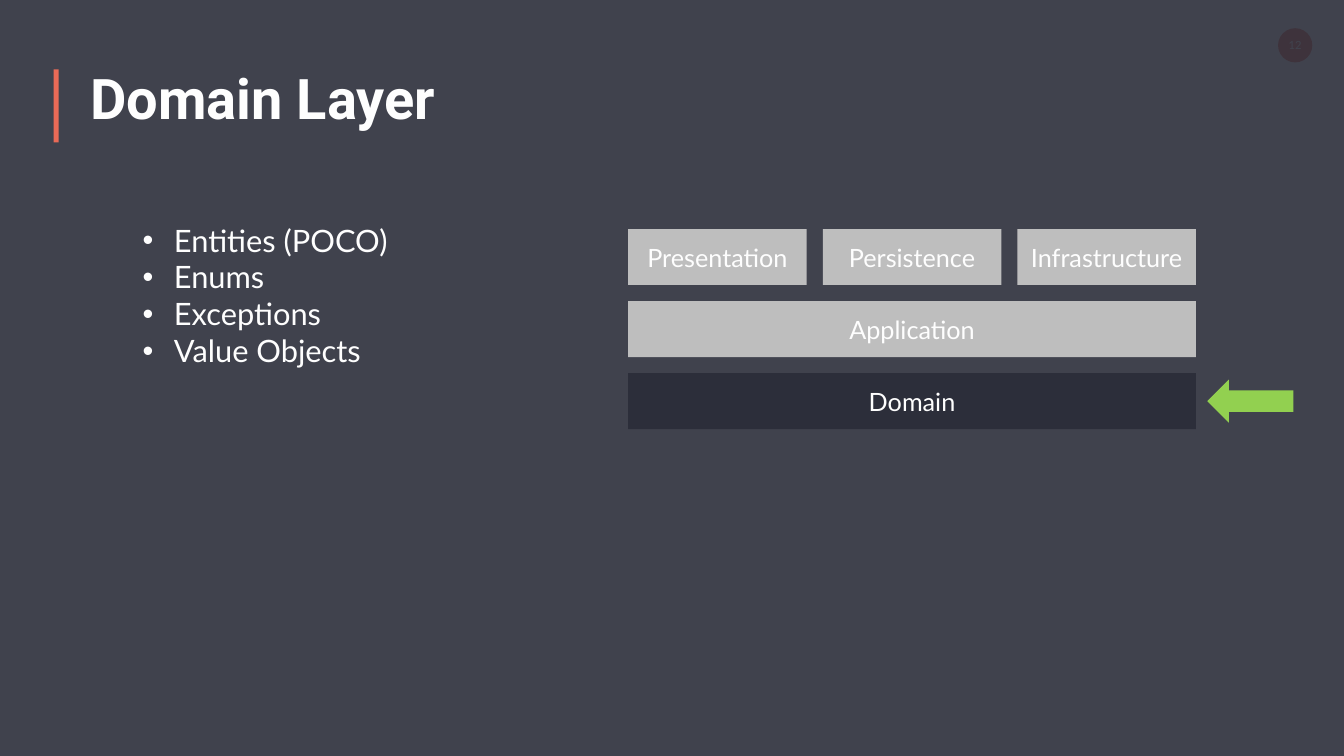
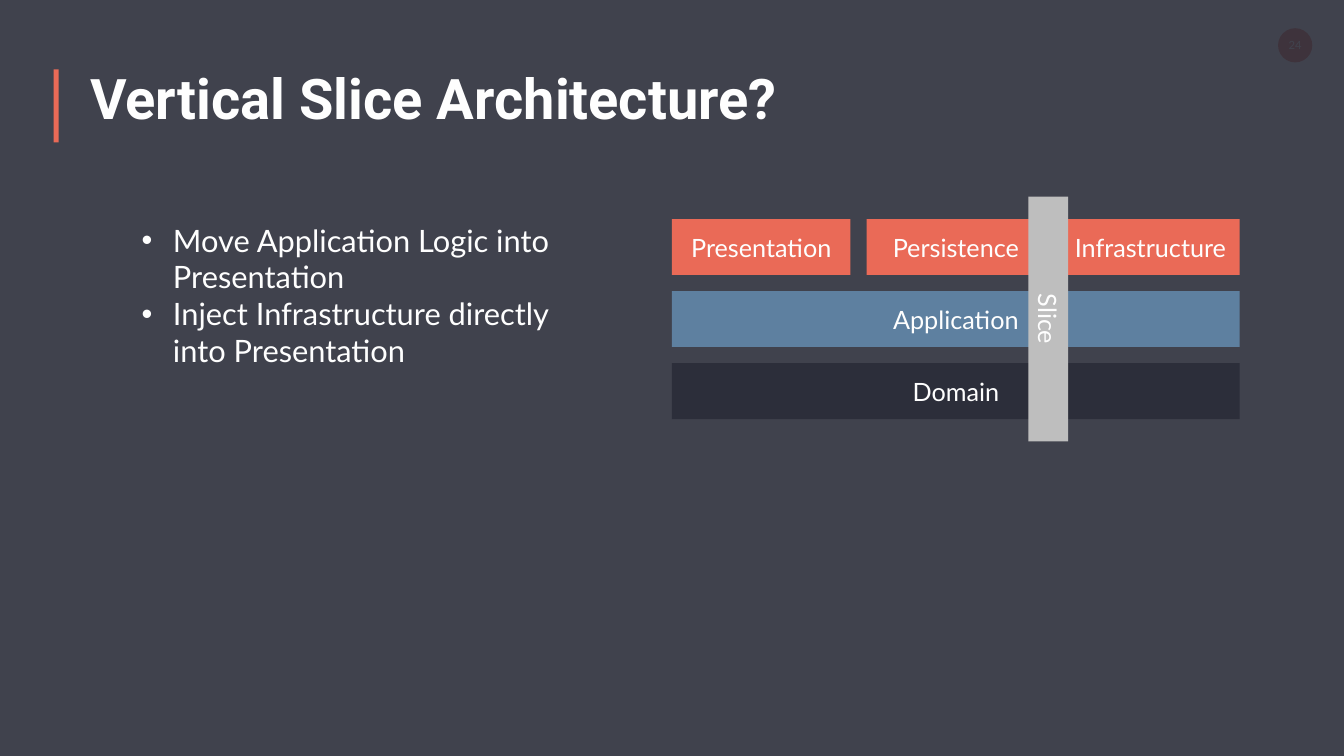
"""Build two slides on layers of software architecture."""
from dataclasses import dataclass
from typing import NamedTuple

from lxml import etree
from pptx import Presentation
from pptx import util as u
from pptx.dml.color import RGBColor
from pptx.enum import shapes, text
from pptx.oxml import ns


@dataclass(frozen=True)
class Theme:
    """Colours, fonts and type sizes."""
    white: str = "FEFEFE"
    dark: str = "2C2E3A"
    coral: str = "EA6A57"
    blue: str = "5E80A0"
    grey: str = "BEBEBE"
    green: str = "92D050"
    head: str = "Roboto"
    body: str = "Lato"
    title: int = 80
    list: int = 44
    label: int = 36
    page: int = 16


class Box(NamedTuple):
    """Place and size in percent of the slide."""
    x: float
    y: float
    w: float
    h: float


@dataclass(frozen=True)
class Grid:
    """Three columns and rows with equal gaps, in percent of the slide."""
    x: float
    y: float
    col: float = 13.28
    row: float = 7.4
    gapx: float = 1.2
    gapy: float = 2.13

    def cell(self, col: int, row: int, cols: int = 1, rows: int = 1) -> Box:
        """Return the box of a cell that spans columns and rows."""
        return Box(self.x + col * (self.col + self.gapx),
                   self.y + row * (self.row + self.gapy),
                   cols * (self.col + self.gapx) - self.gapx,
                   rows * (self.row + self.gapy) - self.gapy)


@dataclass(frozen=True)
class Page:
    """Content of one slide."""
    num: int
    title: str
    items: list[str]
    area: Box
    grid: Grid
    top: str
    mid: str
    arrow: bool = False
    slice: bool = False


T = Theme()
WIDE, HIGH = u.Inches(26.66), u.Inches(15)
KIND = shapes.MSO_SHAPE
TITLE = Box(6.34, 8.07, 61.03, 9.67)
BAR = Box(3.99, 9.17, 0.38, 9.67)
BADGE = Box(95.09, 3.73, 2.55, 4.53)
FULL = Box(0, 0, 100, 100)
INDENT = u.Inches(0.62)

PAGES = [
    Page(12, "Domain Layer",
         ["Entities (POCO)", "Enums", "Exceptions", "Value Objects"],
         Box(10.24, 28.93, 19.62, 24.47), Grid(46.74, 30.3),
         T.grey, T.grey, arrow=True),
    Page(24, "Vertical Slice Architecture?",
         ["Move Application Logic into Presentation",
          "Inject Infrastructure directly into Presentation"],
         Box(10.17, 28.93, 34.85, 25.33), Grid(50, 28.97),
         T.coral, T.blue, slice=True),
]


def rect(box: Box) -> tuple[int, int, int, int]:
    """Turn percent into lengths on the slide."""
    return (round(box.x * WIDE / 100), round(box.y * HIGH / 100),
            round(box.w * WIDE / 100), round(box.h * HIGH / 100))


def write(shape, lines: list[str], *, size: int, font: str = T.body,
          bold: bool = False, align=text.PP_ALIGN.CENTER,
          anchor=text.MSO_ANCHOR.MIDDLE, bullet: bool = False,
          inset: float = 0.1, vert: bool = False) -> None:
    """Fill a shape with formatted lines of text."""
    frame = shape.text_frame
    frame.word_wrap = True
    frame.auto_size = text.MSO_AUTO_SIZE.NONE
    frame.vertical_anchor = anchor
    frame.margin_left = frame.margin_right = u.Inches(inset)
    frame.margin_top = frame.margin_bottom = u.Inches(inset / 2)
    if vert:
        shape.element.find(".//" + ns.qn("a:bodyPr")).set("vert", "vert")
    for i, line in enumerate(lines):
        para = frame.add_paragraph() if i else frame.paragraphs[0]
        para.alignment = align
        para.space_before = para.space_after = u.Pt(0)
        para.line_spacing = 1.0
        run = para.add_run()
        run.text = line
        run.font.name, run.font.size, run.font.bold = font, u.Pt(size), bold
        run.font.color.rgb = RGBColor.from_string(T.white)
        if bullet:
            prop = para._p.get_or_add_pPr()
            prop.set("marL", str(INDENT))
            prop.set("indent", str(-INDENT))
            etree.SubElement(prop, ns.qn("a:buFont")).set("typeface", "Arial")
            etree.SubElement(prop, ns.qn("a:buChar")).set("char", "•")


def draw(slide, box: Box, fill: str, kind=KIND.RECTANGLE,
         alpha: int = 100):
    """Add a flat shape without line or shadow."""
    shape = slide.shapes.add_shape(kind, *rect(box))
    shape.shadow.inherit = False
    shape.line.fill.background()
    shape.fill.solid()
    shape.fill.fore_color.rgb = RGBColor.from_string(fill)
    if alpha < 100:
        tone = shape.element.find(".//" + ns.qn("a:srgbClr"))
        etree.SubElement(tone, ns.qn("a:alpha")).set("val", str(alpha * 1000))
    return shape


def place(holder, box: Box) -> None:
    """Move a placeholder to its box and to the front."""
    holder.left, holder.top, holder.width, holder.height = rect(box)
    holder.element.getparent().append(holder.element)


def frame(slide, page: Page) -> None:
    """Draw the backdrop, page badge, title and accent bar."""
    back = slide.background.fill
    back.solid()
    back.fore_color.rgb = RGBColor.from_string(T.white)
    badge = draw(slide, BADGE, T.coral, KIND.OVAL)
    write(badge, [str(page.num)], size=T.page, inset=0)
    draw(slide, FULL, T.dark, alpha=90)
    head = slide.shapes.title
    place(head, TITLE)
    write(head, [page.title], size=T.title, font=T.head, bold=True,
          align=text.PP_ALIGN.LEFT, anchor=text.MSO_ANCHOR.TOP)
    draw(slide, BAR, T.coral)


def stack(slide, page: Page) -> None:
    """Draw the layers and the mark that points at or crosses them."""
    grid = page.grid
    names = ["Presentation", "Persistence", "Infrastructure"]
    cells = [(name, grid.cell(i, 0), page.top) for i, name in enumerate(names)]
    cells += [("Application", grid.cell(0, 1, 3), page.mid),
              ("Domain", grid.cell(0, 2, 3), T.dark)]
    for name, box, fill in cells:
        write(draw(slide, box, fill), [name], size=T.label)
    if page.arrow:
        row = grid.cell(0, 2, 3)
        high = 5.67
        box = Box(row.x + row.w + 0.85, row.y + (row.h - high) / 2, 6.41, high)
        draw(slide, box, T.green, KIND.LEFT_ARROW)
    if page.slice:
        area = grid.cell(0, 0, 3, 3)
        over = 2.97
        box = Box(area.x + 26.52, area.y - over, 2.96, area.h + 2 * over)
        write(draw(slide, box, T.grey), ["Slice"], size=T.label, vert=True)


def build(deck, page: Page) -> None:
    """Add one slide."""
    slide = deck.slides.add_slide(deck.slide_layouts[1])
    frame(slide, page)
    body = slide.placeholders[1]
    place(body, page.area)
    write(body, page.items, size=T.list, align=text.PP_ALIGN.LEFT,
          anchor=text.MSO_ANCHOR.TOP, bullet=True)
    stack(slide, page)


def main() -> None:
    """Build and save the deck."""
    deck = Presentation()
    deck.slide_width, deck.slide_height = WIDE, HIGH
    for page in PAGES:
        build(deck, page)
    deck.save("out.pptx")


main()
